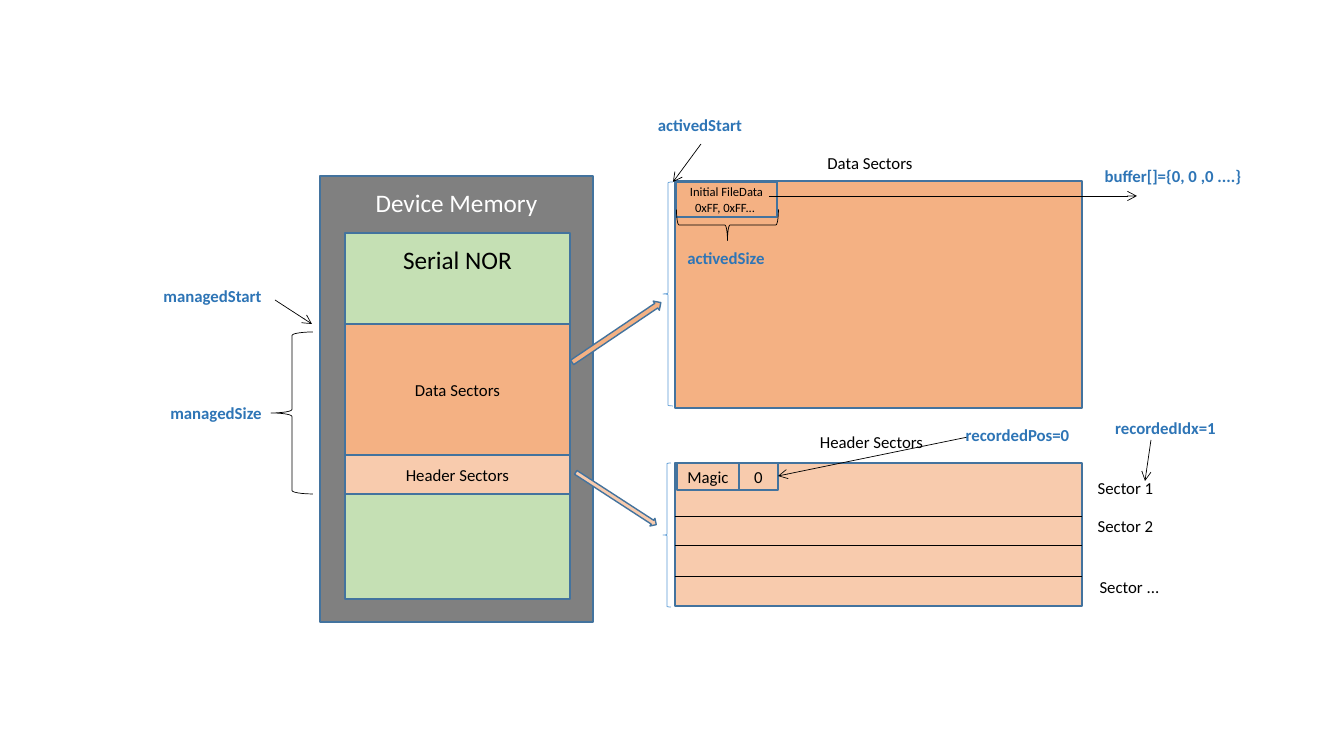
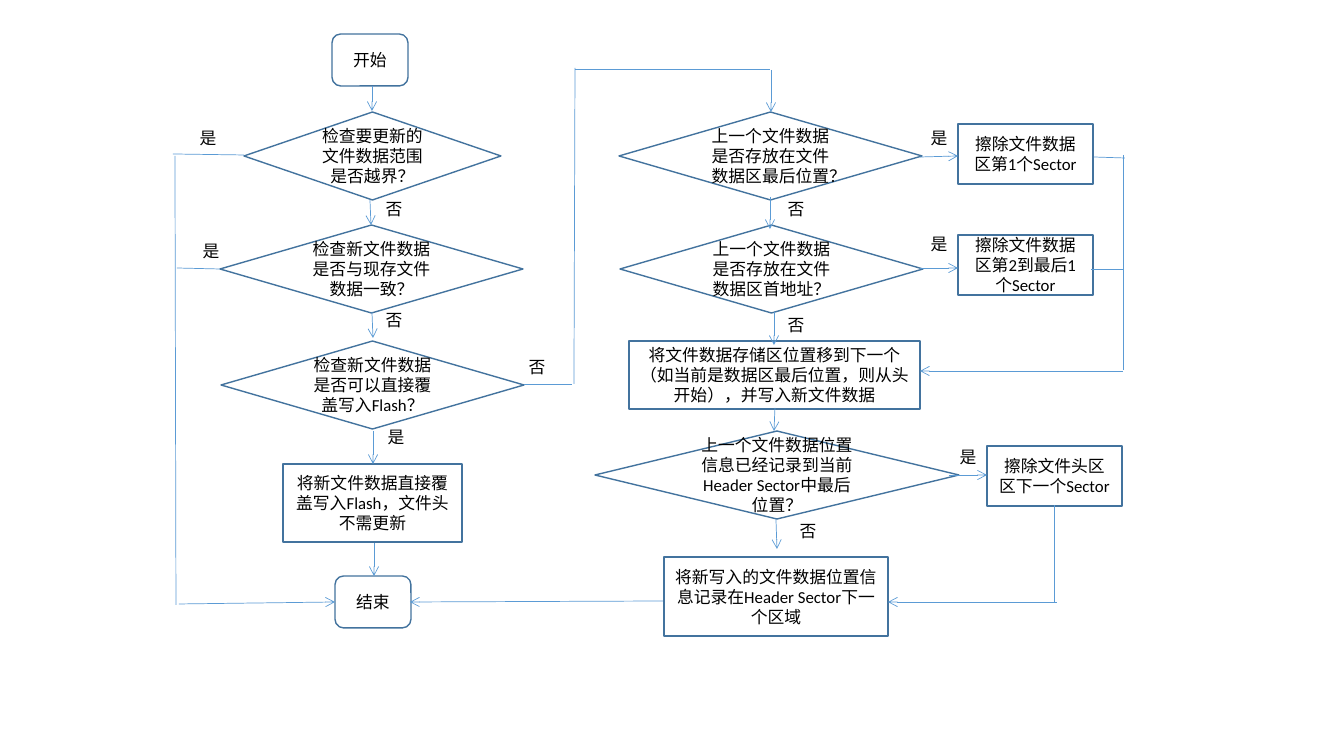
from dataclasses import dataclass
from typing import Any, Optional

from lxml.etree import SubElement
from pptx import Presentation
from pptx.dml.color import RGBColor
from pptx.enum.lang import MSO_LANGUAGE_ID
from pptx.enum.shapes import MSO_CONNECTOR, MSO_SHAPE
from pptx.enum.text import MSO_ANCHOR, PP_ALIGN
from pptx.oxml.ns import qn
from pptx.util import Emu, Pt

EMU_PER_PIXEL = 914400 / 100.8
BLACK, WHITE, GRAY, GREEN = "000000", "FFFFFF", "808080", "C5E0B4"
ORANGE, PEACH = "F4B183", "F8CBAD"
OUTLINE, FLOW_BLUE, FIELD_BLUE = "43739E", "5B9BD5", "2E75B6"

RECT, ROUND = MSO_SHAPE.RECTANGLE, MSO_SHAPE.ROUNDED_RECTANGLE
DECISION, BRACE = MSO_SHAPE.FLOWCHART_DECISION, MSO_SHAPE.LEFT_BRACE
ARROW = MSO_SHAPE.RIGHT_ARROW

Box = tuple[int, int, int, int]


@dataclass(frozen=True)
class Block:
    box: Box
    text: str = ""
    kind: MSO_SHAPE = RECT
    fill: Optional[str] = None
    outline: str = OUTLINE
    weight: float = 1
    size: int = 12
    ink: str = BLACK
    rotation: int = 0
    heading_inset: Optional[int] = None
    side_inset: int = 10


@dataclass(frozen=True)
class Caption:
    box: Box
    text: str
    ink: str = BLACK
    bold: bool = False


@dataclass(frozen=True)
class Link:
    start: tuple[int, int]
    end: tuple[int, int]
    ink: str = FLOW_BLUE
    arrow: bool = True


def px(value: int) -> Emu:
    return Emu(round(value * EMU_PER_PIXEL))


def hex_color(value: str) -> RGBColor:
    return RGBColor.from_string(value)


def assign(target: Any, values: dict[str, Any]) -> None:
    for name, value in values.items():
        setattr(target, name, value)


def write(shape: Any, text: str, size: int, ink: str, bold: bool = False) -> None:
    frame = shape.text_frame
    assign(frame, {"text": text, "word_wrap": True, "vertical_anchor": MSO_ANCHOR.MIDDLE})
    for paragraph in frame.paragraphs:
        paragraph.alignment = PP_ALIGN.CENTER
        for run in paragraph.runs:
            assign(run.font, {"name": "Calibri", "size": Pt(size), "bold": bold,
                              "language_id": MSO_LANGUAGE_ID.SIMPLIFIED_CHINESE})
            run.font.color.rgb = hex_color(ink)


def draw_block(slide: Any, block: Block) -> None:
    shape = slide.shapes.add_shape(block.kind, *map(px, block.box))
    shape.shadow.inherit = False
    shape.rotation = block.rotation
    if block.fill:
        shape.fill.solid()
        shape.fill.fore_color.rgb = hex_color(block.fill)
    else:
        shape.fill.background()
    shape.line.color.rgb = hex_color(block.outline)
    shape.line.width = Pt(block.weight)
    if block.text:
        write(shape, block.text, block.size, block.ink)
        assign(shape.text_frame, {"margin_left": px(block.side_inset),
                                  "margin_right": px(block.side_inset)})
    if block.heading_inset is not None:
        assign(shape.text_frame, {"vertical_anchor": MSO_ANCHOR.TOP,
                                  "margin_top": px(block.heading_inset)})


def draw_caption(slide: Any, caption: Caption) -> None:
    write(slide.shapes.add_textbox(*map(px, caption.box)),
          caption.text, 12, caption.ink, caption.bold)


def draw_link(slide: Any, link: Link) -> None:
    connector = slide.shapes.add_connector(
        MSO_CONNECTOR.STRAIGHT, *map(px, link.start + link.end))
    connector.line.color.rgb = hex_color(link.ink)
    connector.line.width = Pt(0.5)
    properties = connector._element.spPr
    if link.arrow:
        SubElement(properties.find(qn("a:ln")), qn("a:tailEnd"), type="arrow")
    SubElement(properties, qn("a:effectLst"))


def draw_slide(deck: Any, blocks: list[Block], links: list[Link],
               captions: list[Caption]) -> None:
    slide = deck.slides.add_slide(deck.slide_layouts[6])
    for block in blocks:
        draw_block(slide, block)
    for link in links:
        draw_link(slide, link)
    for caption in captions:
        draw_caption(slide, caption)


def field(left: int, top: int, width: int, text: str) -> Caption:
    return Caption((left, top, width, 38), text, FIELD_BLUE, True)


def label(left: int, top: int, width: int, text: str) -> Caption:
    return Caption((left, top, width, 38), text)


def record_cell(left: int, width: int, text: str) -> Block:
    return Block((left, 463, width, 27), text, weight=1.5, side_inset=4)


def brace(box: Box, outline: str = BLACK, rotation: int = 0) -> Block:
    return Block(box, kind=BRACE, outline=outline, weight=0.5, rotation=rotation)


def decision(left: int, top: int, width: int, text: str) -> Block:
    return Block((left, top, width, 88), text, DECISION)


def terminal(left: int, top: int, text: str) -> Block:
    return Block((left, top, 76, 52), text, ROUND)


def erase(left: int, top: int, text: str) -> Block:
    return Block((left, top, 135, 60), text)


def answers(text: str, corners: list[tuple[int, int]]) -> list[Caption]:
    return [Caption((left, top, 76, 51), text) for left, top in corners]


memory_blocks = [
    Block((320, 176, 273, 446), "Device Memory", fill=GRAY, size=18, ink=WHITE,
          heading_inset=11),
    Block((345, 233, 225, 366), "Serial NOR", fill=GREEN, size=18, heading_inset=11),
    Block((345, 324, 225, 131), "Data Sectors", fill=ORANGE),
    Block((345, 455, 225, 39), "Header Sectors", fill=PEACH),
    Block((675, 181, 407, 227), fill=ORANGE),
    Block((676, 182, 101, 35), "Initial FileData\n0xFF, 0xFF... ", fill=ORANGE,
          weight=1.5, size=9),
    Block((675, 463, 407, 143), fill=PEACH),
    record_cell(677, 62, "Magic"),
    record_cell(739, 39, "0"),
    brace((712, 174, 31, 102), rotation=270),
    brace((271, 332, 42, 162)),
    brace((663, 182, 10, 224), FLOW_BLUE),
    brace((663, 463, 8, 144), FLOW_BLUE),
    Block((563, 327, 107, 11), kind=ARROW, fill=ORANGE, rotation=326),
    Block((568, 494, 96, 9), kind=ARROW, fill=PEACH, rotation=33),
]
memory_links = [Link((675, y), (1082, y), BLACK, False) for y in (516, 545, 576)] + [
    Link((275, 300), (312, 324), BLACK),
    Link((701, 144), (673, 182), BLACK),
    Link((1151, 440), (1145, 481), BLACK),
    Link((968, 437), (778, 476), BLACK),
    Link((769, 196), (1137, 196), BLACK),
]
memory_captions = [
    field(151, 277, 123, "managedStart"),
    field(158, 394, 116, "managedSize"),
    field(642, 106, 116, "activedStart"),
    field(668, 239, 116, "activedSize"),
    field(1101, 409, 129, "recordedIdx=1"),
    field(952, 416, 131, "recordedPos=0"),
    field(1083, 157, 180, "buffer[]={0, 0 ,0 ....}"),
    label(812, 144, 116, "Data Sectors"),
    label(802, 423, 139, "Header Sectors"),
    label(1083, 469, 85, "Sector 1"),
    label(1083, 507, 85, "Sector 2"),
    label(1083, 568, 93, "Sector ..."),
]

update_blocks = [
    terminal(332, 34, "开始"),
    terminal(335, 576, "结束"),
    decision(244, 112, 257, "检查要更新的文件数据范围是否越界？"),
    decision(220, 225, 303, "检查新文件数据是否与现存文件数据一致？"),
    decision(221, 341, 303, "检查新文件数据是否可以直接覆盖写入Flash？"),
    decision(619, 112, 303, "上一个文件数据是否存放在文件数据区最后位置？"),
    decision(620, 225, 303, "上一个文件数据是否存放在文件数据区首地址？"),
    decision(595, 431, 364, "上一个文件数据位置信息已经记录到当前Header Sector中最后位置？"),
    Block((283, 464, 179, 78), "将新文件数据直接覆盖写入Flash，文件头不需更新"),
    Block((629, 341, 291, 68),
          "将文件数据存储区位置移到下一个（如当前是数据区最后位置，则从头开始），并写入新文件数据"),
    Block((664, 557, 224, 79), "将新写入的文件数据位置信息记录在Header Sector下一个区域"),
    erase(958, 124, "擦除文件数据区第1个Sector"),
    erase(958, 235, "擦除文件数据区第2到最后1个Sector"),
    erase(987, 446, "擦除文件头区区下一个Sector"),
]
update_arrows = [
    ((372, 86), (372, 111)),
    ((370, 200), (371, 225)),
    ((372, 312), (373, 338)),
    ((373, 431), (373, 464)),
    ((374, 543), (374, 576)),
    ((179, 604), (335, 602)),
    ((771, 70), (771, 112)),
    ((770, 197), (770, 229)),
    ((774, 312), (774, 345)),
    ((775, 408), (774, 431)),
    ((776, 519), (777, 549)),
    ((663, 601), (410, 602)),
    ((920, 157), (958, 156)),
    ((920, 268), (958, 268)),
    ((949, 475), (987, 475)),
    ((1123, 371), (920, 371)),
    ((1057, 602), (888, 602)),
]
update_bends = [
    ((244, 155), (173, 154)),
    ((175, 156), (176, 605)),
    ((220, 269), (177, 268)),
    ((572, 384), (524, 384)),
    ((575, 68), (574, 384)),
    ((770, 69), (575, 69)),
    ((1123, 155), (1123, 370)),
    ((1125, 158), (1094, 157)),
    ((1123, 269), (1091, 269)),
    ((1054, 505), (1054, 602)),
]
update_links = [Link(start, end) for start, end in update_arrows] + [
    Link(start, end, arrow=False) for start, end in update_bends]
update_captions = answers("是", [
    (170, 112), (173, 225), (358, 411), (901, 112), (901, 218), (930, 431),
]) + answers("否", [
    (356, 183), (356, 294), (499, 341), (758, 183), (758, 299), (770, 505),
])

deck = Presentation()
assign(deck, {"slide_width": px(1344), "slide_height": px(756)})
draw_slide(deck, memory_blocks, memory_links, memory_captions)
draw_slide(deck, update_blocks, update_links, update_captions)
deck.save("out.pptx")
